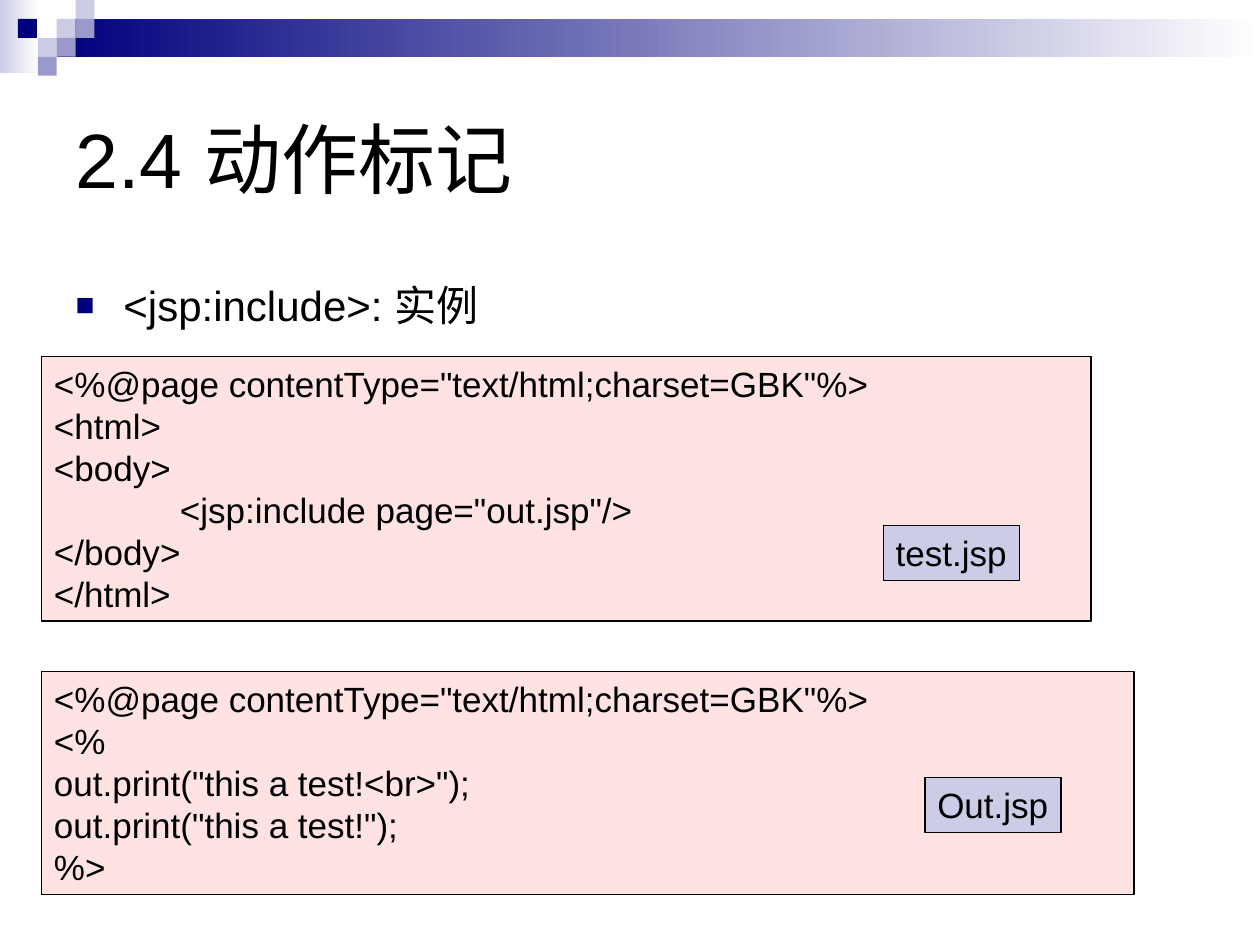
from pptx import Presentation, util as u
from pptx.dml.color import RGBColor
from pptx.enum import shapes, text
from pptx.oxml import parse_xml
from pptx.oxml.ns import nsdecls

NAVY = RGBColor(0x00, 0x00, 0x7D)
PERIWINKLE = RGBColor(0x99, 0x99, 0xCC)
LAVENDER = RGBColor(0xCC, 0xCC, 0xE6)
RED = RGBColor(0xFF, 0x00, 0x00)
BLACK = RGBColor(0x00, 0x00, 0x00)
WHITE = RGBColor(0xFF, 0xFF, 0xFF)

TITLE = "2.4 动作标记"
TOPIC = "<jsp:include>: 实例"
TEST_PAGE = [
    '<%@page contentType="text/html;charset=GBK"%>',
    "<html>",
    "<body>",
    '\t<jsp:include page="out.jsp"/>',
    "</body>",
    "</html>",
]
OUT_PAGE = [
    '<%@page contentType="text/html;charset=GBK"%>',
    "<%",
    'out.print("this a test!<br>");',
    'out.print("this a test!");',
    "%>",
]
# code lines, code box, file name, label box
LISTINGS = [
    (TEST_PAGE, (0.33, 2.83, 8.33, 2.1), "test.jsp", (7.01, 4.17, 1.08, 0.44)),
    (OUT_PAGE, (0.33, 5.33, 8.67, 1.77), "Out.jsp", (7.34, 6.17, 1.08, 0.44)),
]

# corner mosaic: column, row and colour of each square
TILE = 0.15
MOSAIC = [
    (3, 1, LAVENDER), (4, 0, LAVENDER), (4, 1, PERIWINKLE), (2, 2, LAVENDER),
    (0.95, 1, NAVY), (3, 2, PERIWINKLE), (2, 3, PERIWINKLE),
]
# box and left-hand colour of each band that fades to white
FADES = [((0, 0, 0.31, 0.58), LAVENDER), ((0.45, TILE, 9.55, 2 * TILE), NAVY)]


def place(shape, box):
    shape.left, shape.top, shape.width, shape.height = map(u.Inches, box)


def add_rectangle(slide, box, fill=None, outline=None):
    shape = slide.shapes.add_shape(shapes.MSO_SHAPE.RECTANGLE, *map(u.Inches, box))
    shape.shadow.inherit = False
    if fill is not None:
        shape.fill.solid()
        shape.fill.fore_color.rgb = fill
    if outline is None:
        shape.line.fill.background()
    else:
        shape.line.color.rgb = outline
        shape.line.width = u.Pt(0.75)
    return shape


def add_fade(slide, box, colour):
    fill = add_rectangle(slide, box).fill
    fill.gradient()
    fill.gradient_angle = 0
    for stop, stop_colour in zip(fill.gradient_stops, (colour, WHITE)):
        stop.color.rgb = stop_colour


def set_opacity(shape, percent):
    colour = shape.fill._xPr.solidFill[0]
    colour.append(parse_xml(f'<a:alpha {nsdecls("a")} val="{percent * 1000}"/>'))


def add_tab_stop(properties, inches):
    properties.append(parse_xml(
        f'<a:tabLst {nsdecls("a")}><a:tab pos="{u.Inches(inches)}" algn="l"/></a:tabLst>'))


def add_square_bullet(properties, colour):
    properties.set("marL", str(u.Inches(0.38)))
    properties.set("indent", str(u.Inches(-0.38)))
    for element in (
        f'<a:buClr {nsdecls("a")}><a:srgbClr val="{colour}"/></a:buClr>',
        f'<a:buSzPct {nsdecls("a")} val="75000"/>',
        f'<a:buFont {nsdecls("a")} typeface="Arial"/>',
        f'<a:buChar {nsdecls("a")} char="■"/>',
    ):
        properties.append(parse_xml(element))


def write(shape, lines, size=20, anchor=text.MSO_ANCHOR.TOP, wrap=True,
          bullet=None, tab=None):
    frame = shape.text_frame
    frame.auto_size = text.MSO_AUTO_SIZE.NONE
    frame.word_wrap = wrap
    frame.vertical_anchor = anchor
    for number, line in enumerate(lines):
        paragraph = frame.add_paragraph() if number else frame.paragraphs[0]
        paragraph.alignment = text.PP_ALIGN.LEFT
        paragraph.space_before = u.Pt(0)
        properties = paragraph._p.get_or_add_pPr()
        if bullet is not None:
            add_square_bullet(properties, bullet)
        if tab is not None:
            add_tab_stop(properties, tab)
        run = paragraph.add_run()
        run.text = line
        run.font.name = "Arial"
        run.font.size = u.Pt(size)
        run.font.color.rgb = BLACK


def main():
    presentation = Presentation()
    presentation.slide_width, presentation.slide_height = u.Inches(10), u.Inches(7.5)
    slide = presentation.slides.add_slide(presentation.slide_layouts[1])

    for box, colour in FADES:
        add_fade(slide, box, colour)
    for column, row, colour in MOSAIC:
        add_rectangle(slide, (column * TILE, row * TILE, TILE, TILE), colour)

    title, body = slide.placeholders
    place(title, (0.5, 0.5, 9, 1.5))
    write(title, [TITLE], size=44, anchor=text.MSO_ANCHOR.MIDDLE)
    place(body, (0.5, 2.17, 9, 4.25))
    write(body, [TOPIC], size=24, bullet=NAVY)

    for code, code_box, file_name, label_box in LISTINGS:
        panel = add_rectangle(slide, code_box, RED, BLACK)
        set_opacity(panel, 11)
        write(panel, code, tab=1)
        label = add_rectangle(slide, label_box, LAVENDER, BLACK)
        write(label, [file_name], wrap=False)

    presentation.save("out.pptx")


if __name__ == "__main__":
    main()
